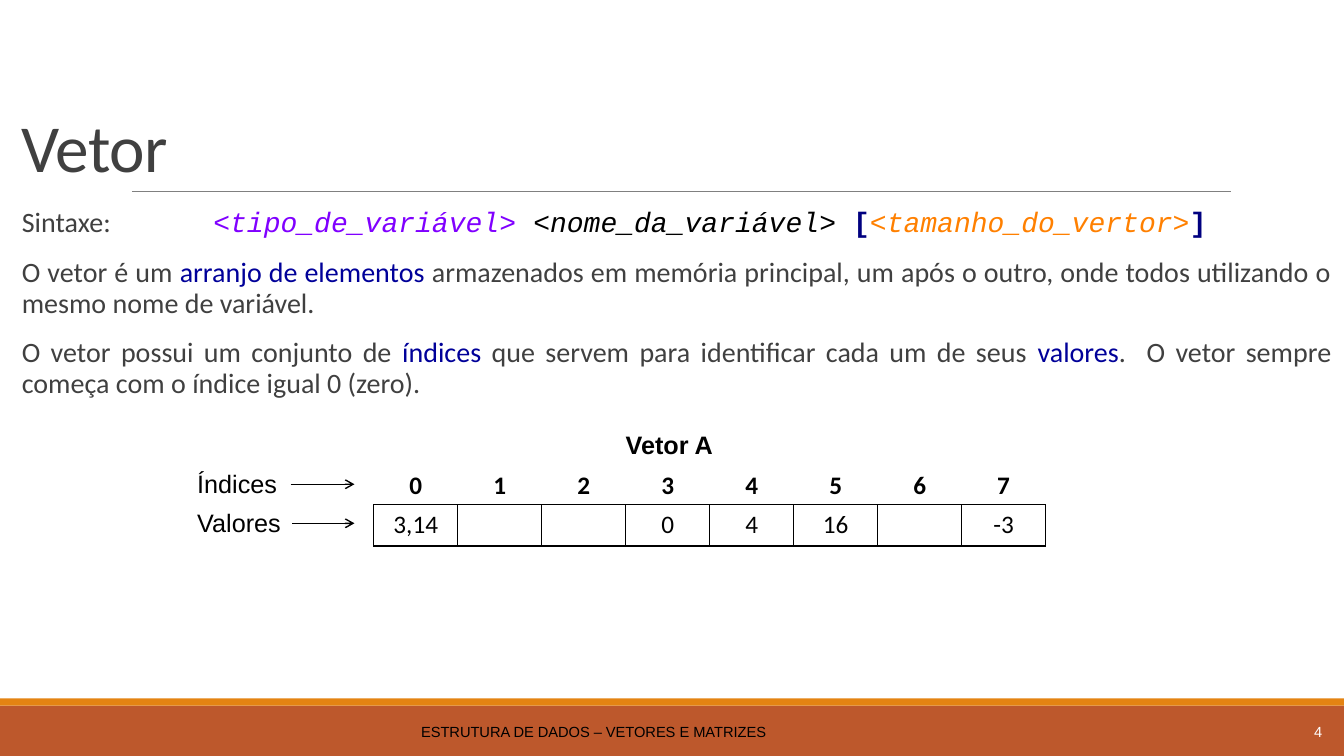
from dataclasses import dataclass

from lxml.etree import SubElement
from pptx import Presentation
from pptx.dml.color import RGBColor
from pptx.enum.shapes import MSO_CONNECTOR, MSO_SHAPE
from pptx.enum.text import MSO_ANCHOR, MSO_AUTO_SIZE, PP_ALIGN
from pptx.oxml.ns import qn
from pptx.util import Inches, Pt


@dataclass(frozen=True)
class Theme:
    heading_font: str = "Calibri"
    label_font: str = "Arial"
    code_font: str = "Courier New"
    title_size: float = 48
    body_size: float = 20
    label_size: float = 18
    footer_size: float = 10.5
    black: str = "000000"
    white: str = "FFFFFF"
    text: str = "404040"
    rule: str = "808080"
    band: str = "BD582C"
    accent: str = "E48312"
    keyword: str = "000099"
    type_code: str = "8000FF"
    bracket_code: str = "000080"
    size_code: str = "FF8000"


class SlideBuilder:
    """Places elements on a grid of 16 columns by 18 rows."""

    def __init__(self, deck, theme):
        self.theme = theme
        self.column = deck.slide_width / 16
        self.row = deck.slide_height / 18
        self.page = deck.slides.add_slide(deck.slide_layouts[1])

    def area(self, left, top, width, height):
        return (round(left * self.column), round(top * self.row),
                round(width * self.column), round(height * self.row))

    def style(self, span, font, size, color, bold=False, italic=False):
        span.font.name = font
        span.font.size = Pt(size)
        span.font.color.rgb = RGBColor.from_string(color)
        span.font.bold = bold
        span.font.italic = italic

    def move(self, box, *place):
        box.left, box.top, box.width, box.height = self.area(*place)
        box.text_frame.auto_size = MSO_AUTO_SIZE.NONE

    def bar(self, color, *place):
        bar = self.page.shapes.add_shape(MSO_SHAPE.RECTANGLE, *self.area(*place))
        bar.shadow.inherit = False
        bar.fill.solid()
        bar.fill.fore_color.rgb = RGBColor.from_string(color)
        bar.line.fill.background()

    def line(self, start, end, level, color, weight, arrow=False):
        left, top, length, _ = self.area(start, level, end - start, 0)
        line = self.page.shapes.add_connector(
            MSO_CONNECTOR.STRAIGHT, left, top, left + length, top)
        line.line.color.rgb = RGBColor.from_string(color)
        line.line.width = Pt(weight)
        if arrow:
            SubElement(line.line._get_or_add_ln(), qn("a:tailEnd"), type="arrow")
        SubElement(line._element.spPr, qn("a:effectLst"))

    def title(self, text, *place):
        box = self.page.shapes.title
        self.move(box, *place)
        box.text_frame.vertical_anchor = MSO_ANCHOR.BOTTOM
        para = box.text_frame.paragraphs[0]
        para.text = text
        para.alignment = PP_ALIGN.LEFT
        para.line_spacing = 0.85
        span = para.runs[0]
        self.style(span, self.theme.heading_font, self.theme.title_size, self.theme.text)
        span.font._element.set("spc", "-50")

    def body(self, paragraphs, *place):
        box = self.page.placeholders[1]
        self.move(box, *place)
        frame = box.text_frame
        frame.margin_left = frame.margin_right = 0
        frame.vertical_anchor = MSO_ANCHOR.TOP
        for number, (alignment, pieces) in enumerate(paragraphs):
            para = frame.add_paragraph() if number else frame.paragraphs[0]
            para.alignment = alignment
            para.line_spacing = 0.9
            para.space_before, para.space_after = Pt(12), Pt(2)
            properties = para._p.get_or_add_pPr()
            properties.set("marL", str(Inches(0.1)))
            properties.set("indent", str(-Inches(0.1)))
            color = SubElement(properties, qn("a:buClr"))
            SubElement(color, qn("a:srgbClr"), val=self.theme.accent)
            SubElement(properties, qn("a:buChar"), char=" ")
            tabs = SubElement(properties, qn("a:tabLst"))
            SubElement(tabs, qn("a:tab"), pos=str(Inches(2)), algn="l")
            for text, font, color, bold, italic in pieces:
                span = para.add_run()
                span.text = text
                self.style(span, font, self.theme.body_size, color, bold, italic)

    def label(self, text, *place, size=None, color=None, bold=False,
              alignment=PP_ALIGN.LEFT, wrap=False):
        box = self.page.shapes.add_textbox(*self.area(*place))
        frame = box.text_frame
        frame.word_wrap = wrap
        frame.auto_size = MSO_AUTO_SIZE.NONE if wrap else MSO_AUTO_SIZE.SHAPE_TO_FIT_TEXT
        frame.vertical_anchor = MSO_ANCHOR.MIDDLE if wrap else MSO_ANCHOR.TOP
        para = frame.paragraphs[0]
        para.text = text
        para.alignment = alignment
        self.style(para.runs[0], self.theme.label_font, size or self.theme.label_size,
                   color or self.theme.black, bold)

    def strip(self, values, left, top, bold=False, bordered=False):
        frame = self.page.shapes.add_table(
            1, len(values), *self.area(left, top, len(values), 0.98))
        table = frame.table
        table.first_row = table.horz_banding = False
        # Plain table style without grid lines
        table._tbl.tblPr.find(qn("a:tableStyleId")).text = (
            "{2D5ABB26-0587-4C30-8999-92F81FD0307C}")
        for cell, value in zip(table.iter_cells(), values):
            if bordered:
                self.border(cell)
            cell.fill.background()
            para = cell.text_frame.paragraphs[0]
            para.text = value
            para.alignment = PP_ALIGN.CENTER
            for span in para.runs:
                self.style(span, self.theme.heading_font, self.theme.label_size,
                           self.theme.black, bold)

    def border(self, cell):
        properties = cell._tc.get_or_add_tcPr()
        for side in ("L", "R", "T", "B"):
            edge = SubElement(properties, qn(f"a:ln{side}"), w=str(Pt(1)))
            fill = SubElement(edge, qn("a:solidFill"))
            SubElement(fill, qn("a:srgbClr"), val=self.theme.black)


def main():
    deck = Presentation()
    deck.slide_width, deck.slide_height = Inches(13.333), Inches(7.5)
    theme = Theme()
    slide = SlideBuilder(deck, theme)

    # Footer bands and title rule
    slide.bar(theme.band, 0, 16.8, 16, 1.2)
    slide.bar(theme.accent, 0, 16.63, 16, 0.17)
    slide.line(1.57, 14.65, 4.56, theme.rule, 0.5)

    # Title and explanation
    def plain(text, color=theme.text):
        return text, theme.heading_font, color, False, False

    def code(text, color, bold=False, italic=True):
        return text, theme.code_font, color, bold, italic

    slide.title("Vetor", 0.14, 0.74, 15.72, 3.82)
    slide.body([
        (PP_ALIGN.LEFT, [
            plain("Sintaxe: \t"),
            code("<tipo_de_variável> ", theme.type_code),
            code("<", theme.black, italic=False),
            code("nome_da_variável", theme.black),
            code("> ", theme.black, italic=False),
            code("[", theme.bracket_code, bold=True, italic=False),
            code("<tamanho_do_vertor>", theme.size_code),
            code("]", theme.bracket_code, bold=True, italic=False)]),
        (PP_ALIGN.JUSTIFY, [
            plain("O vetor é um "),
            plain("arranjo de elementos ", theme.keyword),
            plain("armazenados em memória principal, um após o outro, "
                  "onde todos utilizando o mesmo nome de variável.")]),
        (PP_ALIGN.JUSTIFY, [
            plain("O vetor possui um conjunto de "),
            plain("índices", theme.keyword),
            plain(" que servem para identificar cada um de seus "),
            plain("valores", theme.keyword),
            plain(".  O vetor sempre começa com o índice igual 0 (zero).")]),
    ], 0.14, 4.85, 15.71, 11.78)

    # Footer text and page number
    slide.label("ESTRUTURA DE DADOS – VETORES E MATRIZES", 0.14, 16.94, 13.86, 0.96,
                size=theme.footer_size, alignment=PP_ALIGN.CENTER, wrap=True)
    slide.label("4", 14.14, 16.94, 1.72, 0.96, size=theme.footer_size,
                color=theme.white, alignment=PP_ALIGN.RIGHT, wrap=True)

    # Vector diagram
    values = ["3,14", "", "", "0", "4", "16", "", "-3"]
    slide.strip(values, 4.45, 12.02, bordered=True)
    slide.strip([str(index) for index in range(len(values))], 4.45, 11.09, bold=True)
    slide.label("Vetor A", 7.33, 10.1, 1.33, 0.96, bold=True)
    for name, top, start in (("Índices", 11.04, 3.46), ("Valores", 11.97, 3.48)):
        slide.label(name, 2.23, top, 1.24, 0.96)
        slide.line(start, 4.22, top + 0.49, theme.black, 1, arrow=True)

    deck.save("out.pptx")


if __name__ == "__main__":
    main()
